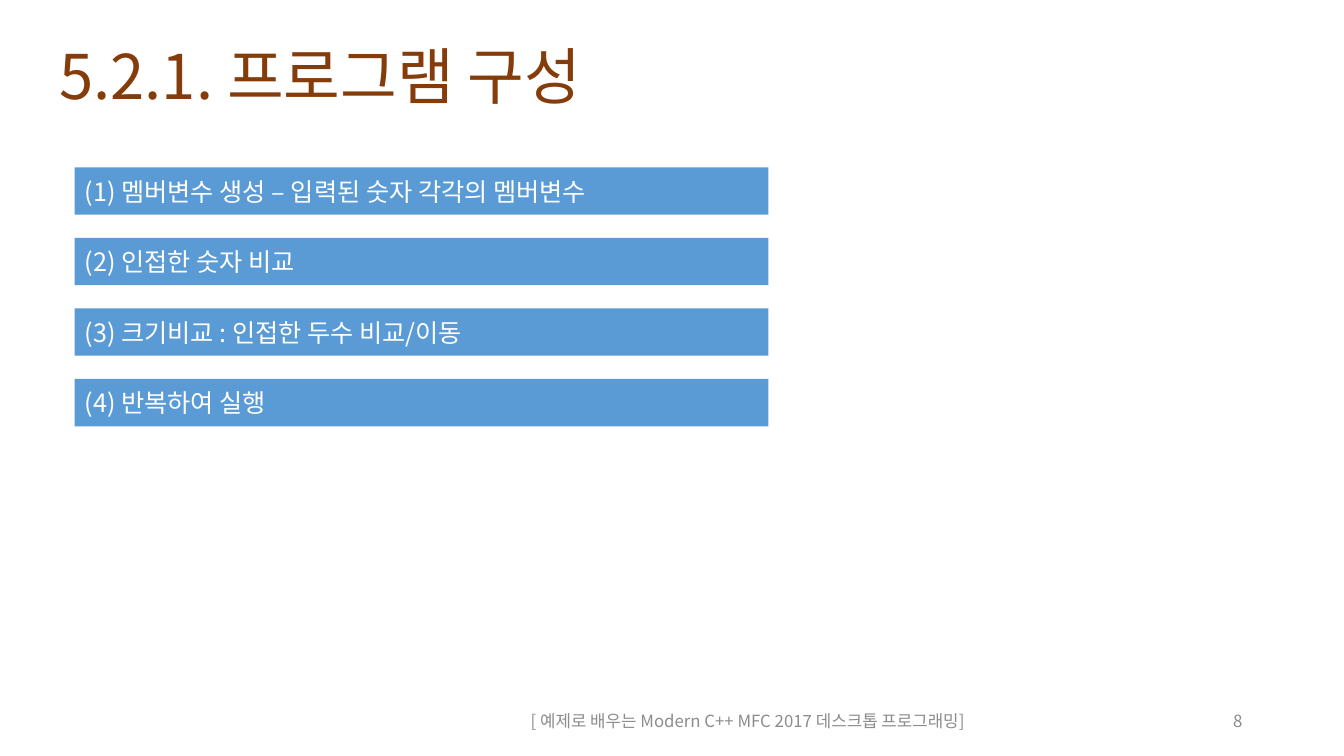
from pptx import Presentation
from pptx.dml.color import RGBColor
from pptx.enum.shapes import MSO_SHAPE as Shape
from pptx.enum.text import MSO_ANCHOR as Anchor, PP_ALIGN as Align
from pptx.oxml.ns import qn
from pptx.util import Inches, Pt
from lxml.etree import SubElement

# Content
TITLE = "5.2.1. 프로그램 구성"
STEPS = [
    "멤버변수 생성 – 입력된 숫자 각각의 멤버변수",
    "인접한 숫자 비교",
    "크기비교 : 인접한 두수 비교/이동",
    "반복하여 실행",
]
FOOTER = "[ 예제로 배우는 Modern C++ MFC 2017 데스크톱 프로그래밍]"
PAGE = "8"

FONT = "Noto Sans CJK KR"
COLORS = {"title": "843C0B", "bar": "5B9BD5", "step": "FFFFFF", "footer": "8C8C8C"}

# Layout in inches
SLIDE_W, SLIDE_H = 13.33, 7.5
BAR_LEFT, BAR_TOP, BAR_W, BAR_H = 0.74, 1.66, 6.88, 0.47
BAR_PITCH = 0.7
FOOTER_TOP, FOOTER_H = 6.95, 0.4

deck = Presentation()
deck.slide_width, deck.slide_height = Inches(SLIDE_W), Inches(SLIDE_H)
slide = deck.slides.add_slide(deck.slide_layouts[6])


def write(shape, text, size, color, align=Align.LEFT, spacing=1.0):
    frame = shape.text_frame
    frame.word_wrap = True
    frame.vertical_anchor = Anchor.MIDDLE
    line = frame.paragraphs[0]
    line.alignment = align
    line.line_spacing = spacing
    run = line.add_run()
    run.text = text
    run.font.size = Pt(size)
    run.font.name = FONT
    run.font.color.rgb = RGBColor.from_string(COLORS[color])
    # Korean glyphs take the East Asian typeface
    SubElement(run.font._element, qn("a:ea")).set("typeface", FONT)


def add_text(box, *style, **options):
    write(slide.shapes.add_textbox(*map(Inches, box)), *style, **options)


# Title
add_text((0.49, 0.38, 9.4, 0.81), TITLE, 44, "title", spacing=0.9)

# Numbered steps
for row, step in enumerate(STEPS):
    box = (BAR_LEFT, BAR_TOP + row * BAR_PITCH, BAR_W, BAR_H)
    bar = slide.shapes.add_shape(Shape.RECTANGLE, *map(Inches, box))
    bar.shadow.inherit = False
    bar.fill.solid()
    bar.fill.fore_color.rgb = RGBColor.from_string(COLORS["bar"])
    bar.line.fill.background()
    write(bar, f"({row + 1}) {step}", 18, "step")

# Footer and page number
add_text((4.42, FOOTER_TOP, 5.99, FOOTER_H), FOOTER, 12, "footer", align=Align.CENTER)
add_text((9.42, FOOTER_TOP, 3, FOOTER_H), PAGE, 12, "footer", align=Align.RIGHT)

deck.save("out.pptx")
